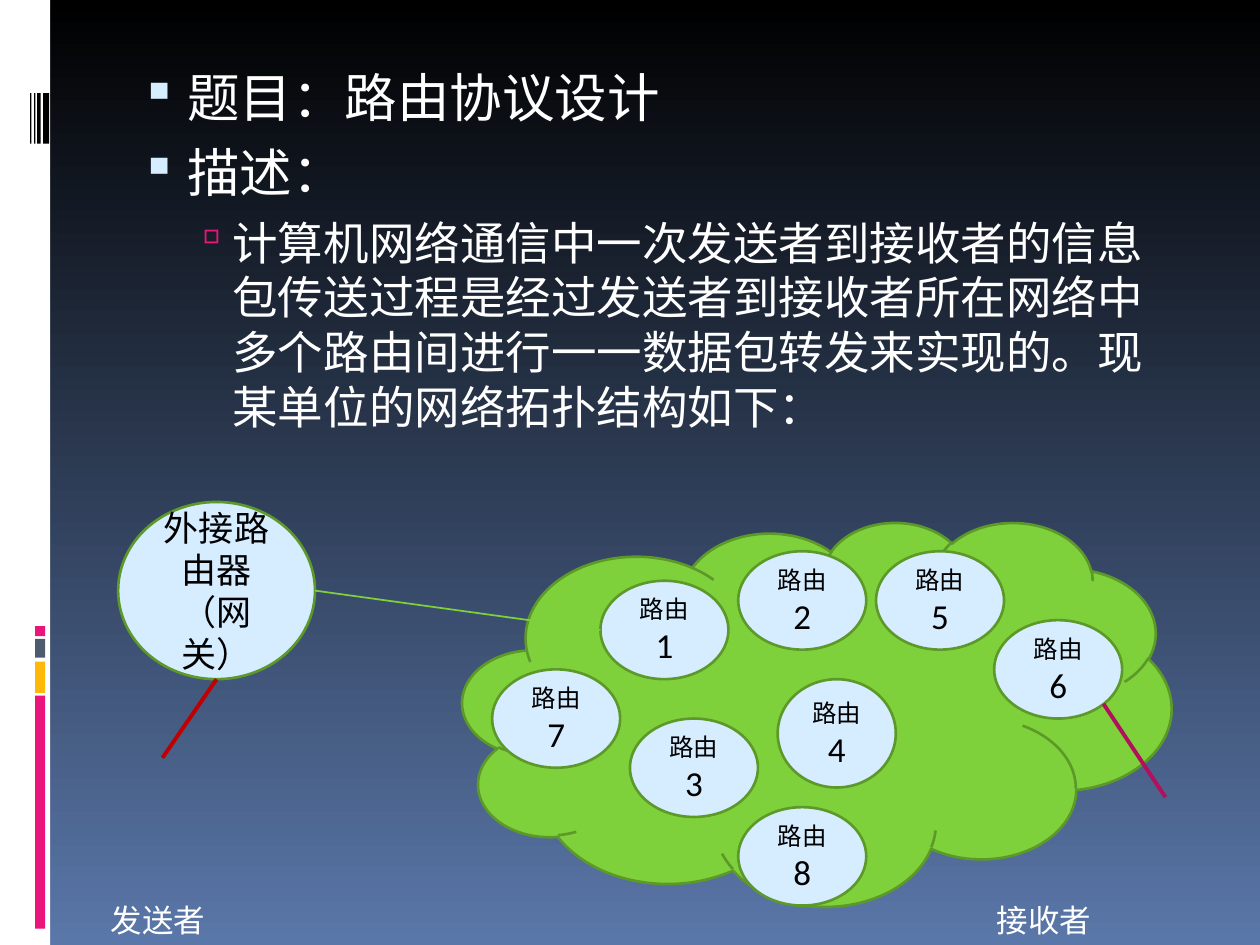
from dataclasses import dataclass
from typing import NamedTuple

from lxml import etree
from pptx import Presentation
from pptx import util as u
from pptx.dml import color
from pptx.enum import shapes, text
from pptx.oxml import ns

COLUMNS, ROWS = 128, 96
CELL = u.Inches(10) / COLUMNS


@dataclass(frozen=True)
class Theme:
    white: str = "FFFFFF"
    black: str = "000000"
    sky: str = "5A77A9"
    ice: str = "D6ECFF"
    pink: str = "EA157A"
    amber: str = "FEB80A"
    slate: str = "4E5B6F"
    green: str = "7FD13B"
    dark_green: str = "5C9929"
    red: str = "C00000"
    plum: str = "B0105C"
    body_font: str = "Calibri"
    label_font: str = "Arial"
    heading: float = 30
    detail: float = 26
    node: float = 20
    label: float = 18
    caption: float = 14
    outline: float = 1.5


class Area(NamedTuple):
    column: float
    row: float
    columns: float
    rows: float


class Bar(NamedTuple):
    area: Area
    fill: str


class Bullet(NamedTuple):
    words: str
    level: int
    size: float
    char: str
    tint: str
    percent: int
    margin: float
    hanging: float
    before: float


class Router(NamedTuple):
    number: int
    column: float
    row: float
    columns: float = 13
    rows: float = 10


class Link(NamedTuple):
    start: tuple[float, float]
    end: tuple[float, float]
    tint: str
    width: float


class Label(NamedTuple):
    words: str
    column: float


THEME = Theme()
BARCODE_ROW, BARCODE_ROWS = 9.47, 5.12
STRIPE_COLUMN, STRIPE_COLUMNS = 3.58, 1.02

BARS = [
    Bar(Area(0, 0, 5.1, ROWS), THEME.white),
    *(Bar(Area(STRIPE_COLUMN, row, STRIPE_COLUMNS, rows), fill)
      for row, rows, fill in [(70.66, 23.68, THEME.pink), (67.2, 3.2, THEME.amber),
                              (64.9, 1.92, THEME.slate), (63.6, 1.02, THEME.pink)]),
    *(Bar(Area(column, BARCODE_ROW, columns, BARCODE_ROWS), THEME.black)
      for column, columns in [(4.37, 0.62), (3.76, 0.38), (3.46, 0.13), (3.07, 0.13)]),
]
TOPICS = [
    Bullet(words, 0, THEME.heading, "▪", THEME.ice, 95, 0.45, 0.37, before)
    for words, before in [("题目：路由协议设计", 0), ("描述：", 7)]
] + [
    Bullet("计算机网络通信中一次发送者到接收者的信息包传送过程是经过发送者到接收者所在网络中"
           "多个路由间进行一一数据包转发来实现的。现某单位的网络拓扑结构如下：",
           1, THEME.detail, "▫", THEME.pink, 90, 0.81, 0.31, 6.5),
]
CLOUD = Area(47, 53, 72, 39)
GATEWAY = Area(12, 51, 20, 18)
ROUTERS = [
    Router(1, 61, 59), Router(2, 75, 56), Router(3, 64, 73), Router(4, 79, 69, 12, 11),
    Router(5, 89, 56), Router(6, 101, 63), Router(7, 50, 68), Router(8, 75, 82),
]
LINKS = [
    Link((32, 60), (61, 64), THEME.green, 1),
    Link((112.1, 71.5), (118.4, 81), THEME.plum, 2.25),
    Link((16.5, 77), (22, 69), THEME.red, 2.25),
]
LABELS = [Label("发送者", 10), Label("接收者", 100)]


def rgb(value: str) -> color.RGBColor:
    return color.RGBColor.from_string(value)


def place(area: Area) -> list[u.Emu]:
    return [u.Emu(round(length * CELL)) for length in area]


def style(font, size: float, tint: str, name: str = THEME.body_font) -> None:
    font.size, font.name = u.Pt(size), name
    font.color.rgb = rgb(tint)


def draw_shape(page, kind, area: Area, fill: str, outline: str | None = None):
    shape = page.shapes.add_shape(kind, *place(area))
    shape.shadow.inherit = False
    shape.fill.solid()
    shape.fill.fore_color.rgb = rgb(fill)
    if outline:
        shape.line.color.rgb = rgb(outline)
        shape.line.width = u.Pt(THEME.outline)
    else:
        shape.line.fill.background()
    return shape


def draw_node(page, area: Area, pieces: list[tuple[str, float]]) -> None:
    node = draw_shape(page, shapes.MSO_SHAPE.OVAL, area, THEME.ice, THEME.dark_green)
    node.text_frame.vertical_anchor = text.MSO_ANCHOR.MIDDLE
    para = node.text_frame.paragraphs[0]
    para.alignment = text.PP_ALIGN.CENTER
    for words, size in pieces:
        span = para.add_run()
        span.text = words
        style(span.font, size, THEME.black)


def draw_link(page, link: Link) -> None:
    ends = place(Area(*link.start, *link.end))
    line = page.shapes.add_connector(shapes.MSO_CONNECTOR.STRAIGHT, *ends)
    line.line.color.rgb = rgb(link.tint)
    line.line.width = u.Pt(link.width)
    etree.SubElement(line._element.spPr, ns.qn("a:effectLst"))


def add_text_box(page, area: Area):
    box = page.shapes.add_textbox(*place(area))
    box.text_frame.word_wrap = True
    return box.text_frame


def format_bullet(para, bullet: Bullet) -> None:
    para.level = bullet.level
    if bullet.before:
        para.space_before = u.Pt(bullet.before)
    properties = para._p.get_or_add_pPr()
    properties.set("marL", str(u.Inches(bullet.margin)))
    properties.set("indent", str(-u.Inches(bullet.hanging)))
    tint = etree.SubElement(properties, ns.qn("a:buClr"))
    etree.SubElement(tint, ns.qn("a:srgbClr"), val=bullet.tint)
    etree.SubElement(properties, ns.qn("a:buSzPct"), val=str(bullet.percent * 1000))
    etree.SubElement(properties, ns.qn("a:buChar"), char=bullet.char)
    for span in para.runs:
        style(span.font, bullet.size, THEME.white)


def draw_topics(page) -> None:
    frame = add_text_box(page, Area(12, 6, 108.8, 64))
    frame.text = "\n".join(bullet.words for bullet in TOPICS)
    for para, bullet in zip(frame.paragraphs, TOPICS):
        format_bullet(para, bullet)


def draw_label(page, label: Label) -> None:
    frame = add_text_box(page, Area(label.column, 90.9, 18, 5.1))
    frame.text = label.words
    style(frame.paragraphs[0].runs[0].font, THEME.label, THEME.white, THEME.label_font)


def paint_background(page) -> None:
    fill = page.background.fill
    fill.gradient()
    fill.gradient_angle = 270
    for stop, tint, position in zip(fill.gradient_stops, (THEME.black, THEME.sky), (0, 1)):
        stop.color.rgb = rgb(tint)
        stop.position = position


def main() -> None:
    deck = Presentation()
    deck.slide_width, deck.slide_height = place(Area(0, 0, COLUMNS, ROWS))[2:]
    page = deck.slides.add_slide(deck.slide_layouts[6])
    paint_background(page)
    for bar in BARS:
        draw_shape(page, shapes.MSO_SHAPE.RECTANGLE, bar.area, bar.fill)
    draw_topics(page)
    draw_shape(page, shapes.MSO_SHAPE.CLOUD, CLOUD, THEME.green, THEME.dark_green)
    draw_node(page, GATEWAY, [("外接路由器（网关）", THEME.node)])
    for router in ROUTERS:
        draw_node(page, Area(*router[1:]),
                  [("路由", THEME.caption), (str(router.number), THEME.node)])
    for link in LINKS:
        draw_link(page, link)
    for label in LABELS:
        draw_label(page, label)
    deck.save("out.pptx")


if __name__ == "__main__":
    main()
